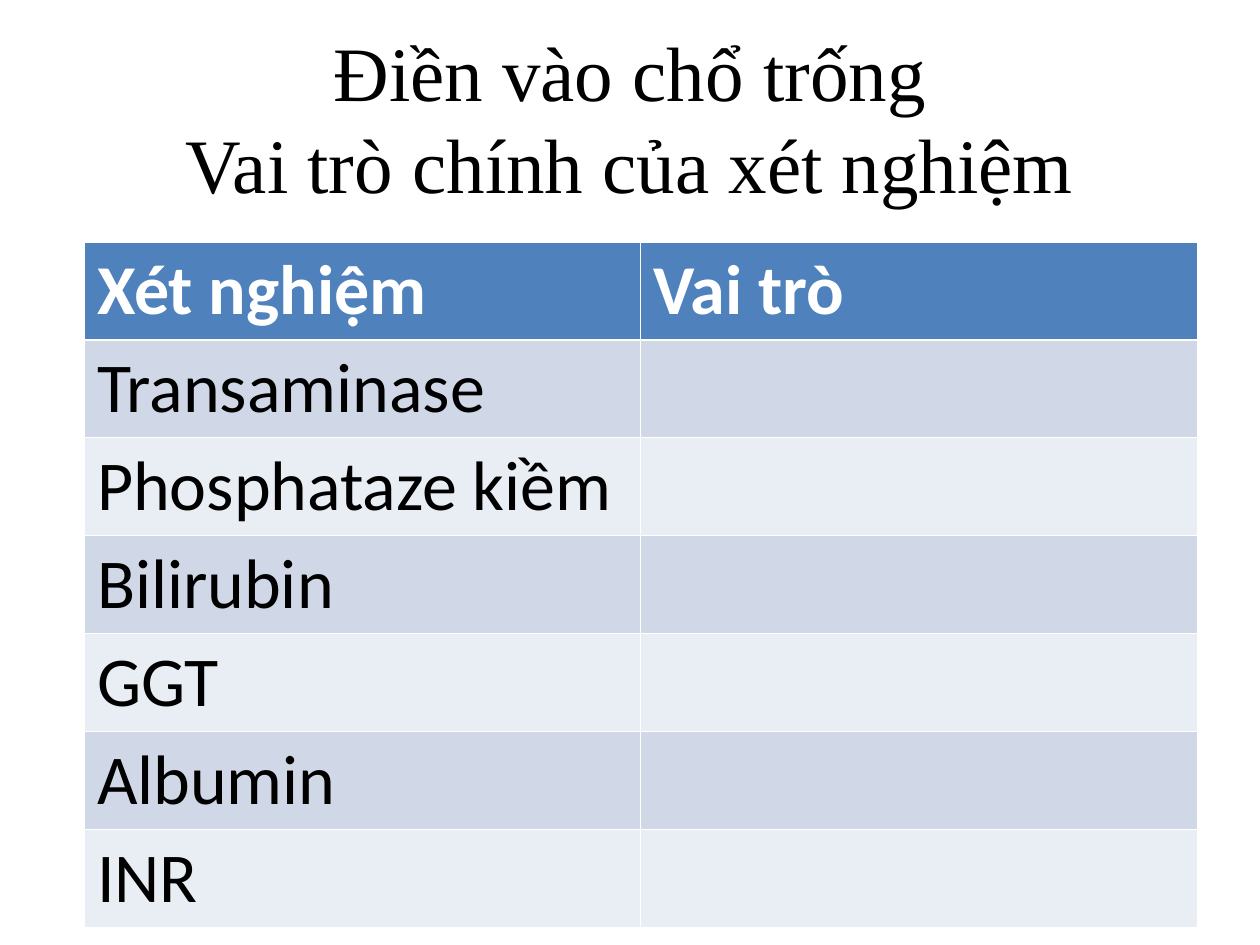
from lxml import etree
from pptx import Presentation
from pptx.dml.color import RGBColor
from pptx.enum.text import MSO_ANCHOR, MSO_AUTO_SIZE, PP_ALIGN
from pptx.oxml.ns import qn
from pptx.util import Inches, Pt

MIDDLE, CENTER, NO_FIT = MSO_ANCHOR.MIDDLE, PP_ALIGN.CENTER, MSO_AUTO_SIZE.NONE

# Content
TITLE = "Điền vào chổ trống\vVai trò chính của xét nghiệm"
HEADER = ("Xét nghiệm", "Vai trò")
TESTS = ("Transaminase", "Phosphataze kiềm", "Bilirubin", "GGT", "Albumin", "INR")
ROWS = [HEADER] + [(test, "") for test in TESTS]

# Style
BLACK = RGBColor(0x00, 0x00, 0x00)
WHITE = RGBColor(0xFF, 0xFF, 0xFF)
HEADER_BLUE = RGBColor(0x4F, 0x81, 0xBD)
BANDS = (RGBColor(0xD0, 0xD8, 0xE8), RGBColor(0xE9, 0xED, 0xF4))
THIN, THICK = Pt(0.45), Pt(1.47)


def style_font(font, name, size, color, bold=False):
    font.name, font.size, font.bold = name, Pt(size), bold
    font.color.rgb = color


def add_borders(cell, top, bottom):
    """Draw white borders; they must precede the cell's fill in the XML."""
    properties = cell._tc.get_or_add_tcPr()
    widths = {"lnL": THIN, "lnR": THIN, "lnT": top, "lnB": bottom}
    for side, width in widths.items():
        line = etree.SubElement(properties, qn(f"a:{side}"), w=str(int(width)))
        fill = etree.SubElement(line, qn("a:solidFill"))
        etree.SubElement(fill, qn("a:srgbClr"), val=str(WHITE))


prs = Presentation()
prs.slide_width, prs.slide_height = Inches(10), Inches(7.5)
slide = prs.slides.add_slide(prs.slide_layouts[5])

# Title
title = slide.shapes.title
title.left, title.top = Inches(0.5), Inches(0.3)
title.width, title.height = Inches(9), Inches(1.25)
title_frame = title.text_frame
title_frame.text = TITLE
title_frame.auto_size = NO_FIT
title_frame.vertical_anchor = MIDDLE
title_paragraph = title_frame.paragraphs[0]
title_paragraph.alignment = CENTER
for run in title_paragraph.runs:
    style_font(run.font, "Times New Roman", 44, BLACK)

# Table of tests, with the roles left blank
tests_table = slide.shapes.add_table(
    len(ROWS), len(HEADER), Inches(0.67), Inches(1.92), Inches(8.83), Inches(5.37)
).table
for r, row in enumerate(ROWS):
    is_header = r == 0
    for c, label in enumerate(row):
        cell = tests_table.cell(r, c)
        add_borders(cell, THICK if r == 1 else THIN, THICK if is_header else THIN)
        cell.fill.solid()
        cell.fill.fore_color.rgb = HEADER_BLUE if is_header else BANDS[(r - 1) % 2]
        cell.text_frame.text = label
        for run in cell.text_frame.paragraphs[0].runs:
            style_font(run.font, "Calibri", 40, WHITE if is_header else BLACK, is_header)

prs.save("out.pptx")
